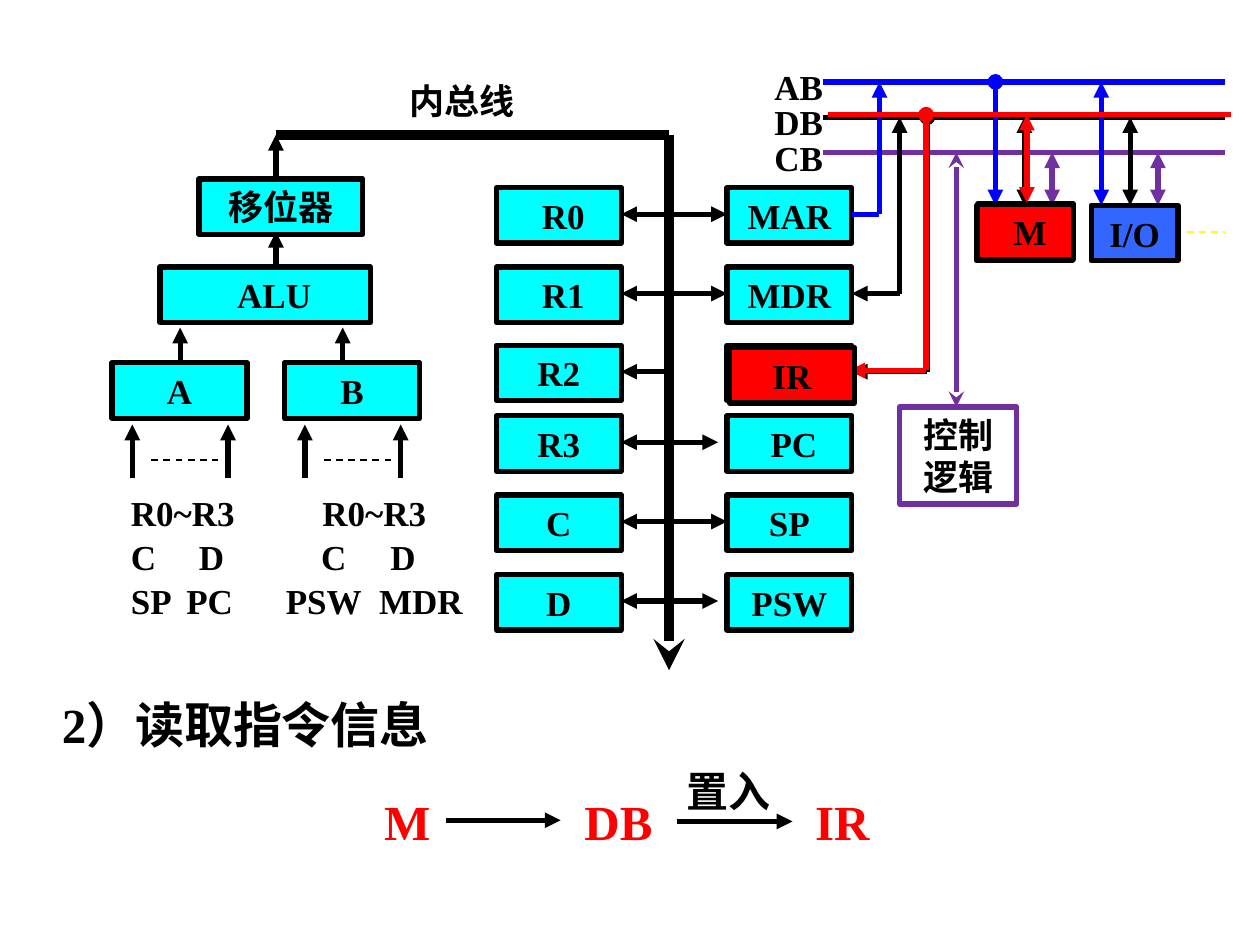
import pptx
import pptx.util
import pptx.dml.color
import pptx.enum.dml
import pptx.enum.shapes
import pptx.enum.text
import pptx.oxml.ns
from lxml import etree

SERIF = "Times New Roman"
BLACK, RED, BLUE, PURPLE = "000000", "FF0000", "0000FF", "7030A0"
CYAN, DEVICE_BLUE, YELLOW = "00FFFF", "3366FF", "FFFF00"
BOX_H, SPACE = 0.44, 0.07
LEFT_COL, RIGHT_COL, COL_W = 3.94, 5.77, 0.99
BUS_X, BUS_TOP, BUS_END = 5.31, 1.07, 5.32
AB, DB, CB = 0.65, 0.93, 1.21
BUS_LEFT, BUS_RIGHT = 6.53, 9.72
DEVICE_TOP = 1.63

HEADING = "2）读取指令信息"
FLOW = [("M", 2.95), ("DB", 4.54), ("IR", 6.37)]
FLOW_ARROWS = [(3.54, 4.45, 6.51), (5.37, 6.29, 6.52)]

REGISTERS = [
    ("R0", SPACE, "MAR", 0, 1.49, 5.77),
    ("R1", SPACE, "MDR", 0, 2.12, 5.77),
    ("R2", 0, "", 0, 2.74, BUS_X),
    ("R3", 0, "PC", SPACE, 3.30, 5.70),
    ("C", 0, "SP", 0, 3.93, 5.77),
    ("D", 0, "PSW", 0, 4.56, 5.70),
]
ALU_PARTS = [
    ("A", 0.89, 2.88, 1.07, 0),
    ("移位器", 1.58, 1.42, 1.30, 0),
    ("B", 2.26, 2.88, 1.07, 0),
    ("ALU", 1.27, 2.12, 1.67, 2 * SPACE),
]
UP_ARROWS = [(1.43, 2.88, 2.60), (2.72, 2.88, 2.60), (2.19, 2.11, 1.84), (2.19, 1.42, BUS_TOP)]
OPERAND_ARROWS = [1.05, 1.81, 2.42, 3.18]
OPERAND_DASHES = [(1.20, 1.73), (2.57, 3.10)]
OPERANDS = [
    ("\tR0~R3\tR0~R3", [0.35, 1.87]),
    ("\tC\tD\tC\tD", [0.35, 0.89, 1.86, 2.41]),
    ("\tSP\tPC\tPSW\tMDR", [0.35, 0.79, 1.58, 2.32]),
]
SYSTEM_BUSES = [("AB", AB, BLUE), ("CB", CB, PURPLE), ("DB", DB, BLACK)]
DEVICE_LINKS = [
    (7.90, AB, BLUE, "oval"), (8.13, DB, BLACK, "triangle"), (8.35, CB, PURPLE, "triangle"),
    (8.74, AB, BLUE, "triangle"), (8.97, DB, BLACK, "triangle"), (9.19, CB, PURPLE, "triangle"),
]

prs = pptx.Presentation()
prs.slide_width, prs.slide_height = pptx.util.Inches(10), pptx.util.Inches(7.5)
slide = prs.slides.add_slide(prs.slide_layouts[5])


def rgb(value):
    return pptx.dml.color.RGBColor.from_string(value)


def inches(*values):
    return [pptx.util.Inches(v) for v in values]


def write(frame, text, size=20, color=BLACK, align="LEFT", anchor="TOP", left=0.1, top=0.08):
    frame.word_wrap = True
    frame.auto_size = pptx.enum.text.MSO_AUTO_SIZE.NONE
    frame.vertical_anchor = getattr(pptx.enum.text.MSO_ANCHOR, anchor)
    frame.margin_left, frame.margin_top, frame.margin_bottom = inches(left, top, 0.05)
    paragraph = frame.paragraphs[0]
    paragraph.alignment = getattr(pptx.enum.text.PP_ALIGN, align)
    paragraph.text = text
    style(paragraph.font, size, color)


def style(font, size, color):
    font.name, font.size, font.bold = SERIF, pptx.util.Pt(size), True
    font.color.rgb = rgb(color)


def label(text, x, y, w, h, **fmt):
    write(slide.shapes.add_textbox(*inches(x, y, w, h)).text_frame, text, **fmt)


def box(text, x, y, w, h=BOX_H, fill=CYAN, edge=BLACK, shift=0):
    shape = slide.shapes.add_shape(pptx.enum.shapes.MSO_SHAPE.RECTANGLE, *inches(x, y, w, h))
    shape.shadow.inherit = False
    if fill:
        shape.fill.solid()
        shape.fill.fore_color.rgb = rgb(fill)
    else:
        shape.fill.background()
    shape.line.color.rgb = rgb(edge)
    shape.line.width = pptx.util.Pt(3)
    if text:
        write(shape.text_frame, text, align="CENTER", anchor="MIDDLE", left=0.1 + shift, top=0.05)


def line(x1, y1, x2, y2, color=BLACK, width=3, head=None, tail=None, dashed=False):
    connector = slide.shapes.add_connector(
        pptx.enum.shapes.MSO_CONNECTOR.STRAIGHT, *inches(x1, y1, x2, y2))
    connector.line.color.rgb = rgb(color)
    connector.line.width = pptx.util.Pt(width)
    if dashed:
        connector.line.dash_style = pptx.enum.dml.MSO_LINE.DASH
    outline = connector.line._get_or_add_ln()
    for end, kind in (("a:headEnd", head), ("a:tailEnd", tail)):
        if kind:
            etree.SubElement(outline, pptx.oxml.ns.qn(end), type=kind)
    etree.SubElement(connector._element.spPr, pptx.oxml.ns.qn("a:effectLst"))


def operand_lists():
    frame = slide.shapes.add_textbox(*inches(0.59, 3.97, 3.5, 1.04)).text_frame
    frame.word_wrap = True
    for row, (text, stops) in enumerate(OPERANDS):
        paragraph = frame.add_paragraph() if row else frame.paragraphs[0]
        paragraph.text = text
        paragraph.line_spacing = 0.6
        if row:
            paragraph.space_before = pptx.util.Pt(10.8)
        tabs = etree.SubElement(paragraph._p.get_or_add_pPr(), pptx.oxml.ns.qn("a:tabLst"))
        for stop in stops:
            etree.SubElement(tabs, pptx.oxml.ns.qn("a:tab"),
                             pos=str(pptx.util.Inches(stop)), algn="l")
        style(paragraph.font, 20, BLACK)


def instruction_flow():
    title = slide.shapes.title
    title.left, title.top, title.width, title.height = inches(0.39, 5.46, 4.08, 0.57)
    write(title.text_frame, HEADING, size=28, top=0.05)
    for name, x in FLOW:
        label(name, x, 6.2, 0.92, 0.57, size=28, color=RED)
    label("置入", 5.35, 6.03, 1.08, 0.5, size=24, top=0.05)
    for start, end, y in FLOW_ARROWS:
        line(start, y, end, y, tail="triangle")


def arithmetic_unit():
    for x, start, end in UP_ARROWS:
        line(x, start, x, end, tail="triangle")
    for x in OPERAND_ARROWS:
        line(x, 3.79, x, 3.37, tail="triangle")
    for start, end in OPERAND_DASHES:
        line(start, 3.65, end, 3.65, width=1, dashed=True)
    for name, x, y, w, shift in ALU_PARTS:
        box(name, x, y, w, shift=shift)
    operand_lists()


def internal_bus():
    label("内总线", 2.87, 0.58, 1.6, BOX_H, align="CENTER", top=0.05)
    line(2.19, BUS_TOP, BUS_X, BUS_TOP, width=6)
    line(BUS_X, BUS_TOP, BUS_X, BUS_END, width=6, tail="stealth")
    for left, left_shift, right, right_shift, top, end in REGISTERS:
        y = top + 0.21
        line(end, y, LEFT_COL + COL_W, y, head=None if end == BUS_X else "triangle", tail="triangle")
        box(left, LEFT_COL, top, COL_W, shift=left_shift)
        box(right, RIGHT_COL, top, COL_W, shift=right_shift)


def system_buses():
    for name, y, color in SYSTEM_BUSES:
        line(BUS_LEFT, y, BUS_RIGHT, y, color)
        label(name, 5.92, y - 0.21, 0.84, BOX_H, align="CENTER")
    for x, y, color, head in DEVICE_LINKS:
        line(x, y, x, DEVICE_TOP, color, head=head, tail="triangle")
    port = RIGHT_COL + COL_W
    line(port, 1.7, 6.98, 1.7, BLUE)
    line(6.98, 1.7, 6.98, AB, BLUE, tail="triangle")
    line(7.14, 2.33, port, 2.33, tail="triangle")
    line(7.14, 2.33, 7.14, DB, tail="triangle")
    line(7.36, DB, 7.36, 2.95, head="oval")
    line(7.36, 2.95, port, 2.95, tail="triangle")
    box("", 7.75, DEVICE_TOP, 0.76, fill=DEVICE_BLUE)
    box("I/O", 8.66, DEVICE_TOP, 0.69, fill=DEVICE_BLUE)
    line(9.42, 1.84, BUS_RIGHT, 1.84, YELLOW, width=1, dashed=True)
    line(7.59, CB, 7.59, 3.23, PURPLE, head="stealth", tail="stealth")
    box("控制逻辑", 7.14, 3.23, 0.93, 0.77, fill=None, edge=PURPLE)


def fetch_route():
    bus = 0.91
    box("M", 7.76, 1.62, 0.76, fill=RED, shift=SPACE)
    line(8.15, bus, 8.15, 1.61, RED, head="triangle", tail="triangle")
    line(9.77, bus, 6.57, bus, RED)
    line(7.35, bus, 7.35, 2.94, RED, head="oval")
    line(7.35, 2.94, 6.74, 2.94, RED, tail="triangle")
    box("IR", 5.79, 2.76, COL_W, fill=RED)


instruction_flow()
arithmetic_unit()
internal_bus()
system_buses()
fetch_route()
prs.save("out.pptx")
